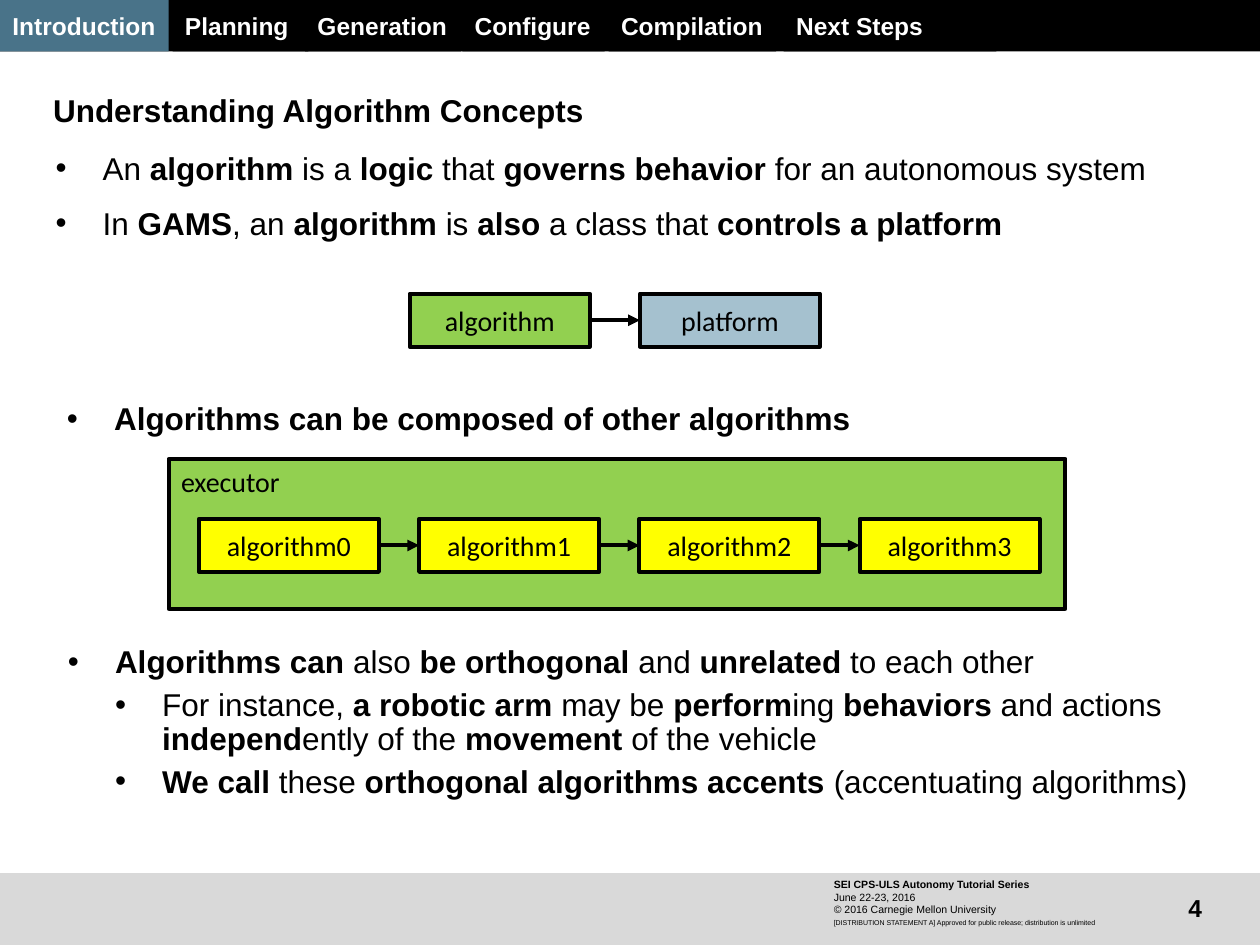
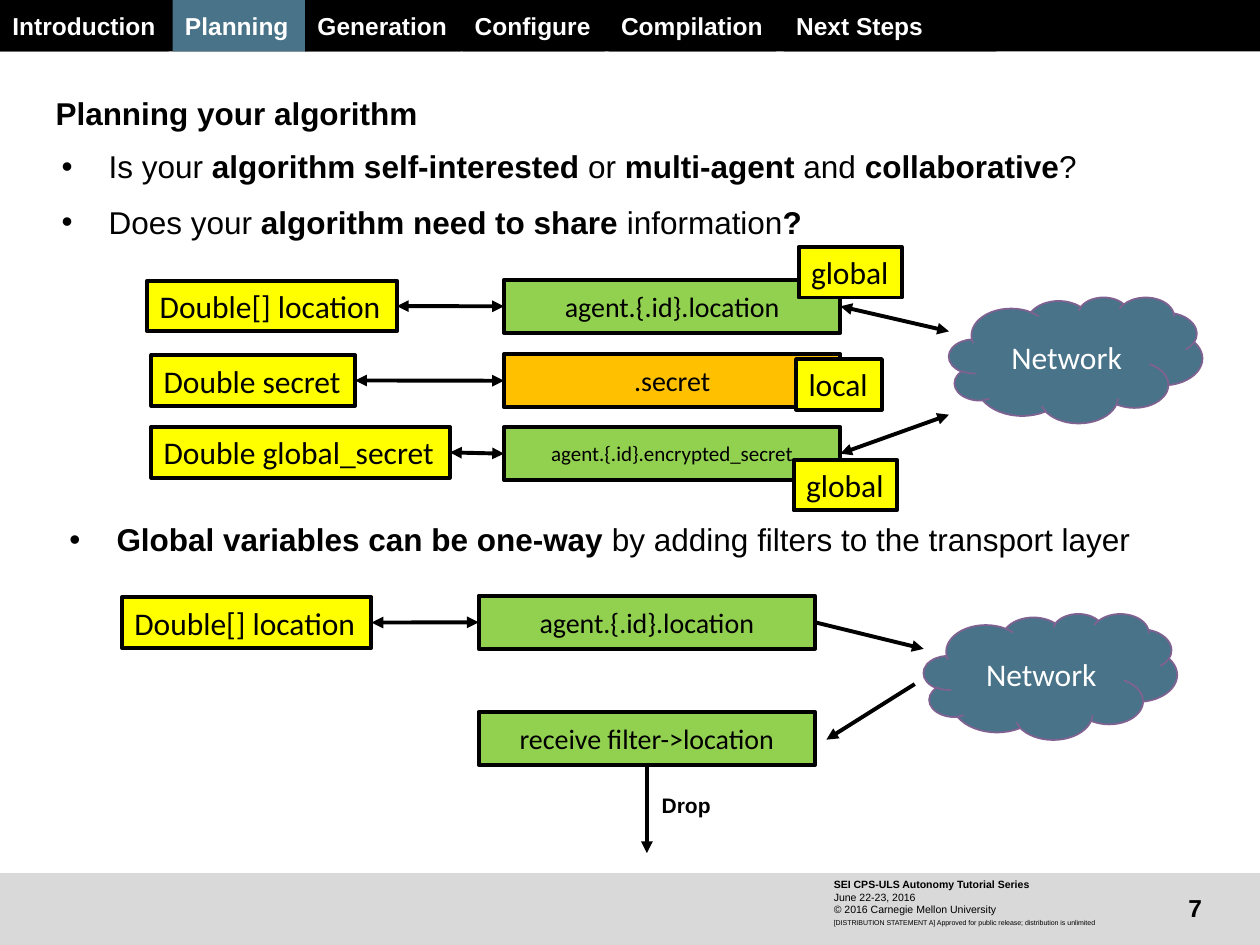
from lxml import etree
from pptx import Presentation
from pptx.dml.color import RGBColor
from pptx.enum.shapes import MSO_CONNECTOR, MSO_SHAPE
from pptx.enum.text import MSO_ANCHOR, MSO_AUTO_SIZE, PP_ALIGN
from pptx.oxml.ns import qn
from pptx.util import Cm, Pt

RECT, CLOUD = MSO_SHAPE.RECTANGLE, MSO_SHAPE.CLOUD
STRAIGHT = MSO_CONNECTOR.STRAIGHT
TOP, MIDDLE = MSO_ANCHOR.TOP, MSO_ANCHOR.MIDDLE
LEFT, CENTER, RIGHT = PP_ALIGN.LEFT, PP_ALIGN.CENTER, PP_ALIGN.RIGHT
NO_FIT = MSO_AUTO_SIZE.NONE
LEFT_SIDE, BOTTOM_SIDE, RIGHT_SIDE = 1, 2, 3

BLACK, WHITE, GREY = "000000", "FFFFFF", "D9D9D9"
TEAL, PALE_BLUE, PURPLE = "497389", "A5C1CF", "806292"
GREEN, YELLOW, ORANGE = "92D050", "FFFF00", "FFC000"
rgb = RGBColor.from_string

BOX_H, VAR_H = 1.07, 1.02
INDENT = 0.95


def put_text(sp, lines, size, font="Arial", color=BLACK, align=LEFT, anchor=TOP,
             inset=0, wrap=True, levels=None, spacing=None):
    """Write lines into a shape; **marks** make bold runs, levels make bullets."""
    tf = sp.text_frame
    tf.auto_size, tf.word_wrap, tf.vertical_anchor = NO_FIT, wrap, anchor
    tf.margin_left = tf.margin_right = Cm(inset)
    tf.margin_top = tf.margin_bottom = Cm(inset / 2)
    for i, line in enumerate(lines):
        p = tf.paragraphs[0] if i == 0 else tf.add_paragraph()
        if levels:
            p.level = levels[i]
            pPr = p._p.get_or_add_pPr()
            pPr.set("marL", str(Cm(INDENT * (levels[i] + 1))))
            pPr.set("indent", str(-Cm(INDENT)))
            etree.SubElement(pPr, qn("a:buFont")).set("typeface", "Arial")
            etree.SubElement(pPr, qn("a:buChar")).set("char", "•")
        p.alignment = align
        p.space_before = Pt((5 if levels[i] else 10) if levels and i else 0)
        if spacing:
            p.line_spacing = spacing
        for n, part in enumerate(line.split("**")):
            if part:
                r = p.add_run()
                r.text = part
                r.font.size, r.font.name = Pt(size), font
                r.font.bold = n % 2 == 1
                r.font.color.rgb = rgb(color)


def add_box(s, x, y, w, h, fill, text="", size=16, line=BLACK, weight=2.25,
            kind=RECT, font="Calibri", color=BLACK, align=CENTER, anchor=MIDDLE,
            wrap=True):
    sp = s.shapes.add_shape(kind, Cm(x), Cm(y), Cm(w), Cm(h))
    sp.shadow.inherit = False
    sp.fill.solid()
    sp.fill.fore_color.rgb = rgb(fill)
    if line:
        sp.line.color.rgb = rgb(line)
        sp.line.width = Pt(weight)
    else:
        sp.line.fill.background()
    if text:
        put_text(sp, [text], size, font, color, align, anchor, 0.25, wrap)
    return sp


prs = Presentation()
prs.slide_width, prs.slide_height = Cm(25.4), Cm(19.05)

# Shared navigation tabs: name, left, width
TABS = [("Introduction", 0, 3.4), ("Planning", 3.48, 2.74), ("Generation", 6.15, 3.15),
        ("Configure", 9.32, 2.87), ("Compilation", 12.27, 3.38), ("Next Steps", 15.8, 4.29)]
SERIES = ["**SEI CPS-ULS Autonomy Tutorial Series**", "June 22-23, 2016",
          "© 2016 Carnegie Mellon University"]
STATEMENT = ["[DISTRIBUTION STATEMENT A] Approved for public release; "
             "distribution is unlimited"]

# Page number, active tab, title and its place, opening list and its place,
# further lists as (place, lines, levels, line spacing)
PAGES = [
    ("4", "Introduction", "Understanding Algorithm Concepts", (1.07, 1.83, 23.11, 1.19),
     ["An **algorithm** is a **logic** that **governs behavior **for an autonomous system",
      "In **GAMS**, an **algorithm** is **also** a class that **controls a platform**"],
     (1.12, 3, 23.11, 2.31),
     [((1.35, 8.05, 23.11, 1.07), ["**Algorithms can be composed of other algorithms**"],
       [0], None),
      ((1.37, 13.03, 23.11, 3.18),
       ["**Algorithms can **also** be orthogonal **and** unrelated **to each other",
        "For instance, **a robotic arm **may be** perform**ing** behaviors **and actions "
        "**independ**ently of the **movement **of the vehicle",
        "**We call **these **orthogonal algorithms accents **(accentuating algorithms)"],
       [0, 1, 1], 0.9)]),
    ("7", "Planning", "Planning your algorithm", (1.12, 1.9, 9.04, 0.97),
     ["Is your **algorithm self-interested **or **multi-agent** and **collaborative**?",
      "Does your **algorithm need to share **information**?**"],
     (1.24, 2.97, 23.11, 2.15),
     [((1.4, 10.49, 23.11, 1.07),
       ["**Global variables can be one-way **by adding filters to the transport layer"],
       [0], None)]),
]

# Titles, lists, navigation and footer
slides = []
for number, active, title, title_at, points, points_at, lists in PAGES:
    s = prs.slides.add_slide(prs.slide_layouts[1])
    slides.append(s)
    for sp, place in ((s.shapes.title, title_at), (s.placeholders[1], points_at)):
        sp.left, sp.top, sp.width, sp.height = map(Cm, place)
    put_text(s.shapes.title, [f"**{title}**"], 18)
    put_text(s.placeholders[1], points, 18, levels=[0] * len(points))
    for place, lines, levels, spacing in lists:
        sp = s.shapes.add_textbox(*map(Cm, place))
        put_text(sp, lines, 18, levels=levels, spacing=spacing)

    add_box(s, 0, 0, 25.4, 1.04, BLACK, line=None)
    for tab, x, w in TABS:
        add_box(s, x, 0, w, 1.04, TEAL if tab == active else BLACK, f"**{tab}**", 14,
                line=None, font="Arial", color=WHITE, align=LEFT, wrap=False)

    add_box(s, 0, 17.6, 25.4, 1.45, GREY, line=None)
    for place, lines, size, align, anchor in (
            ((22.81, 17.78, 1.42, 1.02), [f"**{number}**"], 14, RIGHT, MIDDLE),
            ((16.81, 17.7, 5.82, 0.76), SERIES, 6, LEFT, TOP),
            ((16.81, 18.52, 5.41, 0.18), STATEMENT, 4, LEFT, TOP)):
        sp = s.shapes.add_textbox(*map(Cm, place))
        put_text(sp, lines, size, align=align, anchor=anchor)

concepts, planning = slides
links = []  # slide, start, end, arrowhead at both ends

# Algorithm controlling a platform
s = concepts
algorithm = add_box(s, 8.26, 5.92, 3.63, BOX_H, GREEN, "algorithm")
platform = add_box(s, 12.9, 5.92, 3.63, BOX_H, PALE_BLUE, "platform")
links.append((s, (algorithm, RIGHT_SIDE), (platform, LEFT_SIDE), False))

# Executor with its chain of algorithms
add_box(s, 3.4, 9.25, 18.08, 3.02, GREEN, "executor", align=LEFT, anchor=TOP)
chain = [add_box(s, 4.01 + 4.44 * i, 10.46, 3.63, BOX_H, YELLOW, f"algorithm{i}")
         for i in range(4)]
for before, after in zip(chain, chain[1:]):
    links.append((s, (before, RIGHT_SIDE), (after, LEFT_SIDE), False))

# Variables mapped to agent knowledge
s = planning
ROWS = [
    ("Double[] location", 2.97, 5.66, 5.03, "agent.{.id}.location", 10.16, 5.64, GREEN, 16),
    ("Double secret", 3.05, 7.16, 4.11, ".secret", 10.16, 7.14, ORANGE, 16),
    ("Double global_secret", 3.05, 8.61, 6.02, "agent.{.id}.encrypted_secret", 10.16, 8.61,
     GREEN, 12),
    ("Double[] location", 2.46, 12.04, 5.03, "agent.{.id}.location", 9.65, 12.01, GREEN, 16),
]
records = []
for name, x, y, w, record, rx, ry, fill, size in ROWS:
    variable = add_box(s, x, y, w, VAR_H, YELLOW, name, 18, align=LEFT, wrap=False)
    records.append(add_box(s, rx, ry, 6.78, BOX_H, fill, record, size))
    links.append((s, (variable, RIGHT_SIDE), (records[-1], LEFT_SIDE), True))
location, secret, encrypted, one_way = records

for x, y in ((19.13, 5.99), (18.62, 12.37)):
    add_box(s, x, y, 5.11, 2.54, TEAL, "Network", 18, PURPLE, 1, CLOUD, color=WHITE)
for scope, x, y, w in (("local", 16.05, 7.24, 1.73), ("global", 16.1, 4.98, 2.08),
                       ("global", 16.0, 9.27, 2.08)):
    add_box(s, x, y, w, VAR_H, YELLOW, scope, 18, align=LEFT, wrap=False)

# Receive filter that drops updates
receive = add_box(s, 9.65, 14.35, 6.78, BOX_H, GREEN, "receive filter->location")
sp = s.shapes.add_textbox(Cm(13.34), Cm(15.98), Cm(1.68), Cm(0.97))
put_text(sp, ["**Drop**"], 12)
links += [
    (s, (location, RIGHT_SIDE), (19.13, 6.68), True),
    (s, (encrypted, RIGHT_SIDE), (19.13, 8.36), True),
    (s, (one_way, RIGHT_SIDE), (18.62, 13.08), False),
    (s, (18.44, 13.79), (16.66, 14.91), False),
    (s, (receive, BOTTOM_SIDE), (13.04, 17.2), False),
]

# Arrows
for s, start, end, both in links:
    c = s.shapes.add_connector(STRAIGHT, 0, 0, 0, 0)
    if isinstance(start[0], float):
        c.begin_x, c.begin_y = map(Cm, start)
    else:
        c.begin_connect(*start)
    if isinstance(end[0], float):
        c.end_x, c.end_y = map(Cm, end)
    else:
        c.end_connect(*end)
    c.line.color.rgb = rgb(BLACK)
    c.line.width = Pt(2.25)
    spPr = c._element.spPr
    for tag in ("a:headEnd", "a:tailEnd") if both else ("a:tailEnd",):
        etree.SubElement(spPr.find(qn("a:ln")), qn(tag)).set("type", "triangle")
    etree.SubElement(spPr, qn("a:effectLst"))

prs.save("out.pptx")
